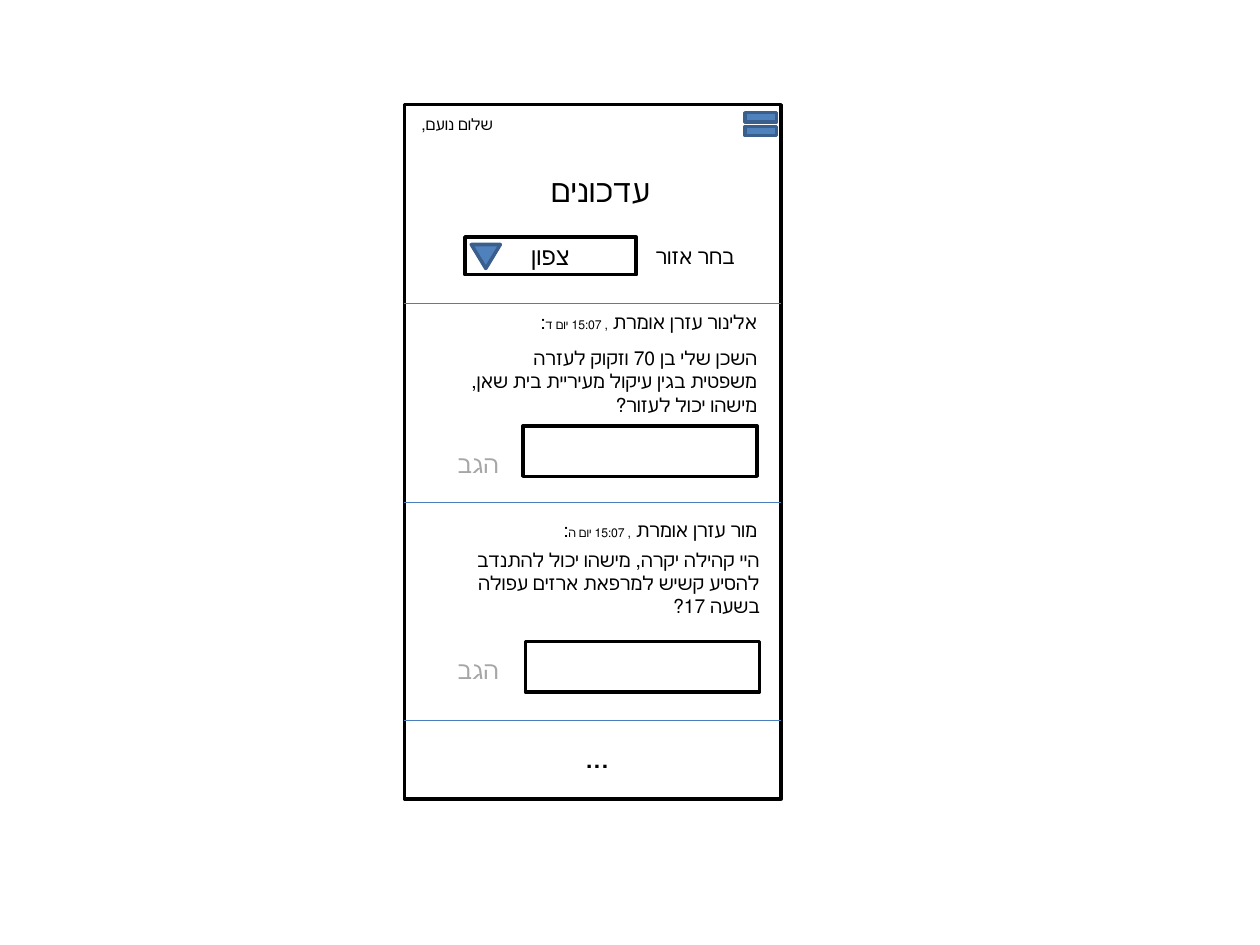
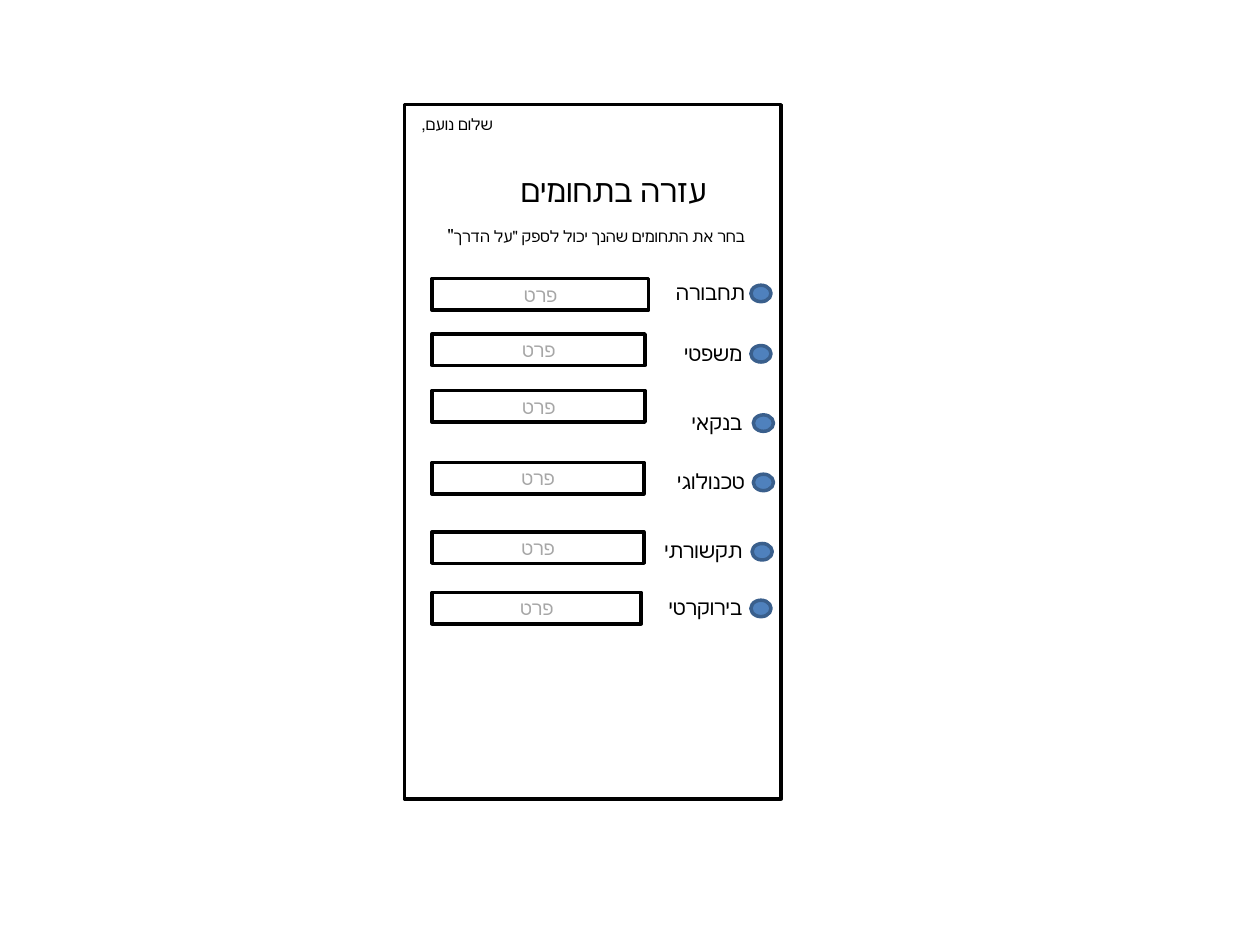
from dataclasses import dataclass
from lxml import etree
from pptx import Presentation
from pptx import util as u
from pptx.dml.color import RGBColor
from pptx.enum import shapes as es, text as et
from pptx.oxml.ns import qn

Pt = u.Pt
KIND = es.MSO_SHAPE


@dataclass(frozen=True)
class Theme:
    font: str = "Calibri"
    ink: str = "000000"
    paper: str = "FFFFFF"
    hint: str = "A6A6A6"
    blue: str = "4F81BD"
    edge: str = "3A5F8C"
    rule: str = "4B7EBC"
    title: float = 18
    large: float = 14
    label: float = 12
    body: float = 11
    quote: float = 10.5
    small: float = 9
    tiny: float = 7
    line: float = 2
    hair: float = 0.75


T = Theme()
PHONE = (231.1, 59.8, 215.3, 396.7)
RTL = et.PP_ALIGN


# Shared helpers: boxes are (left, top, width, height) in points
def inner(box, x, y, w, h):
    """Turn a place within a box into a place on the slide."""
    return box[0] + x, box[1] + y, w, h


def write(shape, runs, color=T.ink, align=RTL.RIGHT):
    """Fill a shape with one right-to-left paragraph of (text, size) runs."""
    para = shape.text_frame.paragraphs[0]
    para.alignment = align
    for words, size in runs:
        run = para.add_run()
        run.text = words
        for key, val in {"name": T.font, "size": Pt(size)}.items():
            setattr(run.font, key, val)
        run.font.color.rgb = RGBColor.from_string(color)
    for node in shape.element.iter(qn("a:pPr")):
        node.set("rtl", "1")
    for node in shape.element.iter(qn("a:rPr")):
        etree.SubElement(node, qn("a:cs"), typeface="+mn-cs")


def fit(shape):
    form = {"word_wrap": True, "vertical_anchor": et.MSO_ANCHOR.TOP,
            "auto_size": et.MSO_AUTO_SIZE.SHAPE_TO_FIT_TEXT}
    for key, val in form.items():
        setattr(shape.text_frame, key, val)


def label(slide, box, words, size, color=T.ink):
    """Add a text box; words is a string or a list of runs."""
    shape = slide.shapes.add_textbox(*map(Pt, box))
    fit(shape)
    write(shape, [(words, size)] if isinstance(words, str) else words, color)


def draw(slide, kind, box, fill=T.paper, edge=T.ink):
    shape = slide.shapes.add_shape(kind, *map(Pt, box))
    shape.shadow.inherit = False
    shape.fill.solid()
    shape.fill.fore_color.rgb = RGBColor.from_string(fill)
    shape.line.color.rgb = RGBColor.from_string(edge)
    shape.line.width = Pt(T.line)
    return shape


def icon(slide, kind, box):
    return draw(slide, kind, box, T.blue, T.edge)


def field(slide, box, words="", size=T.body, color=T.hint):
    shape = draw(slide, KIND.RECTANGLE, box)
    if words:
        shape.text_frame.vertical_anchor = et.MSO_ANCHOR.MIDDLE
        write(shape, [(words, size)], color, RTL.CENTER)


def rule(slide, box, y):
    """Draw a hairline across the box."""
    left, top, width, _ = box
    line = slide.shapes.add_connector(
        es.MSO_CONNECTOR.STRAIGHT,
        *map(Pt, (left + width, top + y, left, top + y)))
    line.line.color.rgb = RGBColor.from_string(T.rule)
    line.line.width = Pt(T.hair)
    etree.SubElement(line.element.spPr, qn("a:effectLst"))


def screen(deck, box, title, width):
    """Start a slide: phone frame, title and greeting."""
    slide = deck.slides.add_slide(deck.slide_layouts[5])
    frame = draw(slide, KIND.RECTANGLE, box)
    head = slide.shapes.title
    place = inner(box, 55.4, 34.6, width, 28.8)
    for key, val in zip(("left", "top", "width", "height"), place):
        setattr(head, key, Pt(val))
    fit(head)
    write(head, [(title, T.title)])
    frame.element.addnext(head.element)  # lift the title above the frame
    label(slide, inner(box, 0, 2.2, 57.6, 18), "שלום נועם,", T.small)
    return slide


# Updates screen
def picker(slide, box):
    """Region label with its drop-down field."""
    label(slide, inner(box, 100, 0, 61.2, 21.6), "בחר אזור", T.label)
    field(slide, inner(box, 0, 0, 97.9, 21.6), "צפון", T.large, T.ink)
    arrow = icon(slide, KIND.ISOSCELES_TRIANGLE,
                 inner(box, 3.6, 4.3, 16.6, 13.7))
    arrow.rotation = 180


def post(slide, box, name, day, words, tops, shift):
    """One message; tops holds the places of its text, field and reply."""
    text, entry, reply = tops
    head = [(f"{name} אומרת ", T.body), (f", 15:07 יום {day}", T.tiny),
            (":", T.body)]
    label(slide, inner(box, 38.9, 0, 169.9, 20.9), head, T.body)
    label(slide, inner(box, 27.4 + shift, text, 181.4, 47.5), words, T.body)
    field(slide, inner(box, 67.7 + shift, entry, 133.9, 28.8))
    label(slide, inner(box, 18.4, reply, 42.5, 24.5), "הגב", T.large, T.hint)


POSTS = [
    (113.8, "אלינור עזרן", "ד",
     "השכן שלי בן 70 וזקוק לעזרה משפטית בגין עיקול מעיריית בית שאן, "
     "מישהו יכול לעזור?", (20.9, 69.8, 79.2), 0),
    (232.6, "מור עזרן", "ה",
     "היי קהילה יקרה, מישהו יכול להתנדב להסיע קשיש למרפאת ארזים עפולה "
     "בשעה 17?", (17.3, 74.2, 78.5), 1.4),
]


def updates(deck, box):
    slide = screen(deck, box, "עדכונים", 92.2)
    icon(slide, KIND.MATH_EQUAL, inner(box, 191.5, 0, 24.5, 22.3))
    picker(slide, inner(box, 34.6, 75.6, 161.2, 21.6))
    for y in (113.8, 227.5, 352.1):
        rule(slide, box, y)
    for top, *rest in POSTS:
        post(slide, inner(box, 0, top, box[2], 108), *rest)
    label(slide, inner(box, 90, 357.8, 33.8, 28.8), "...", T.title)


# Help areas screen
def area(slide, box, name, shift, indent, drop, width):
    """One help area: name, dot and detail field."""
    label(slide, inner(box, 139 + indent, 0, 61.2, 21.6), name, T.label)
    icon(slide, KIND.OVAL, inner(box, 198 + shift, 6.7, 11.5, 9.4))
    field(slide, inner(box, 15.8, drop, width, 18), "פרט")


# top, name, dot shift, name indent, field drop, field width
AREAS = [
    (96.5, "תחבורה", 0, 1.4, 2.9, 123.8),
    (131, "משפטי", 0, 0, 0, 121.7),
    (170.6, "בנקאי", 1.4, 0, -7.2, 121.7),
    (204.5, "טכנולוגי", 1.4, 1.4, 0, 121),
    (244.1, "תקשורתי", 0.7, 0, 0, 121),
    (276.5, "בירוקרטי", 0, 0, 2.2, 119.5),
]


def areas(deck, box):
    slide = screen(deck, box, "עזרה בתחומים", 124.6)
    label(slide, inner(box, 8.6, 64.8, 193, 20.2),
          [('בחר את התחומים שהנך יכול לספק "על הדרך', T.small),
           ('"', T.quote)], T.small)
    for top, *rest in AREAS:
        area(slide, inner(box, 0, top, box[2], 21.6), *rest)


deck = Presentation()
deck.slide_width, deck.slide_height = Pt(720), Pt(540)
updates(deck, PHONE)
areas(deck, PHONE)
deck.save("out.pptx")
